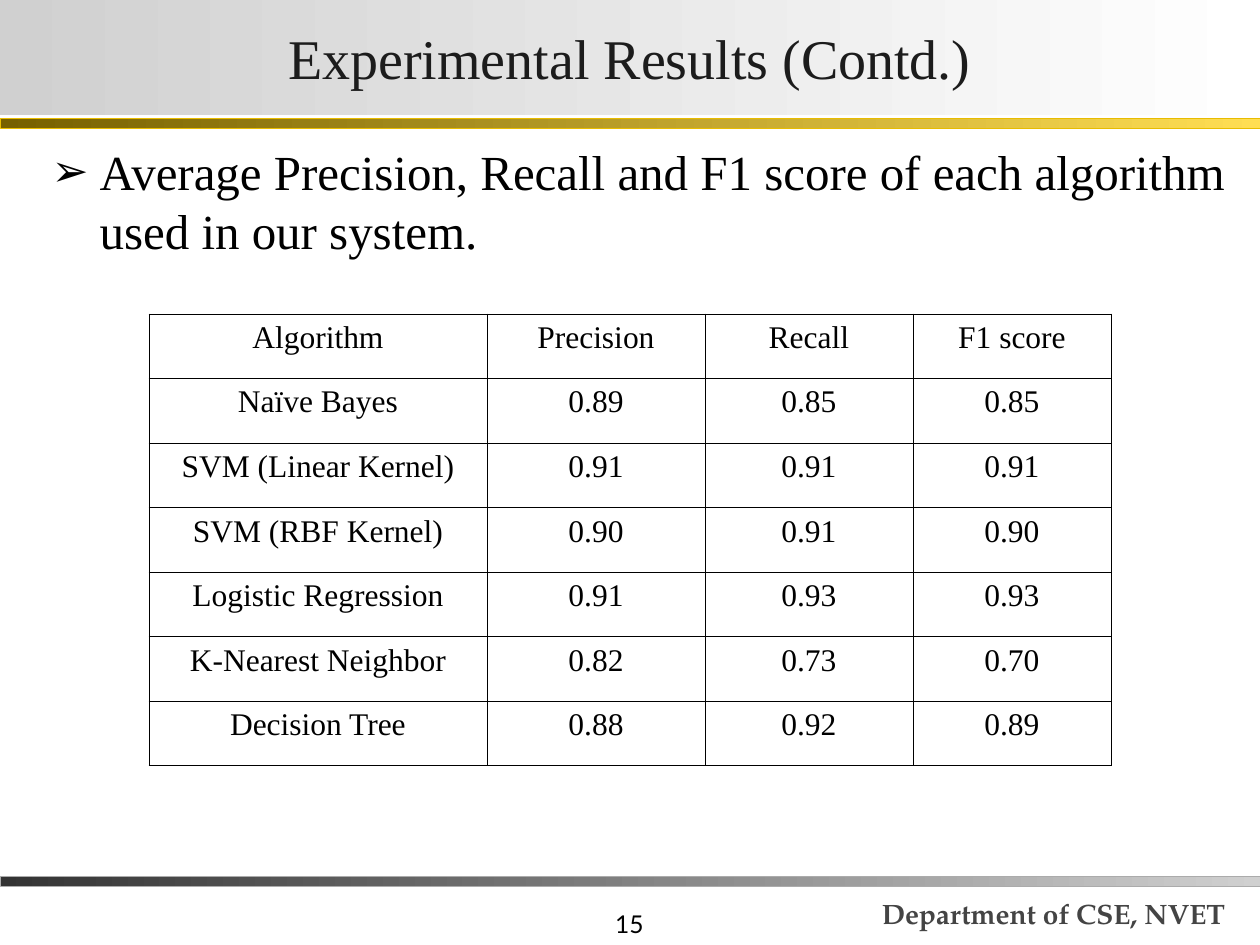
"""Build the slide of average scores for each algorithm."""
import dataclasses

import lxml.etree
import pptx
import pptx.dml.color
import pptx.enum.shapes
import pptx.enum.text
import pptx.oxml
import pptx.oxml.ns
import pptx.util


@dataclasses.dataclass
class Theme:
    serif: str = "Times New Roman"
    sans: str = "Lato"
    book: str = "TeX Gyre Pagella"
    ink: str = "000000"
    head: str = "1C1C1C"
    foot: str = "444444"
    fade: tuple = ("D0D0D0", "FFFFFF")
    gold: tuple = ("766000", "FFDE53", "E8BC00")
    gray: tuple = ("333333", "D0D0D0", "ABABAB")
    title: int = 32
    body: int = 28
    cell: int = 18
    dept: int = 16
    page: int = 14


theme = Theme()
SCALE = 914400 / 126
ALIGN = pptx.enum.text.PP_ALIGN
ANCHOR = pptx.enum.text.MSO_ANCHOR
rgb = pptx.dml.color.RGBColor.from_string
qn = pptx.oxml.ns.qn


def px(*sides):
    return [pptx.util.Emu(round(side * SCALE)) for side in sides]


def write(para, text, size, font, color, align, bold=False):
    para.alignment = align
    run = para.add_run()
    run.text = text
    run.font.size = pptx.util.Pt(size)
    run.font.name = font
    run.font.bold = bold
    run.font.color.rgb = rgb(color)


deck = pptx.Presentation()
deck.slide_width, deck.slide_height = px(1260, 945)
slide = deck.slides.add_slide(deck.slide_layouts[1])
shapes = slide.shapes
title, body = slide.placeholders

labels = [
    ((394, 882, 262, 63), "15", theme.page, theme.sans, theme.ink, ALIGN.RIGHT, False),
    ((837, 857, 433, 79), "Department of CSE, NVET", theme.dept, theme.book,
     theme.foot, ALIGN.CENTER, True),
]
for place, *style in labels:
    frame = shapes.add_textbox(*px(*place)).text_frame
    frame.word_wrap = True
    frame.vertical_anchor = ANCHOR.BOTTOM
    write(frame.paragraphs[0], *style)

bars = []
for top, (start, end, edge) in ((876, theme.gray), (118, theme.gold)):
    bar = shapes.add_shape(pptx.enum.shapes.MSO_SHAPE.RECTANGLE, *px(0, top, 1260, 10))
    bar.shadow.inherit = False
    bar.line.color.rgb = rgb(edge)
    bar.line.width = pptx.util.Pt(0.25)
    bars.append((bar, (start, end)))

for shape, colors in bars + [(title, theme.fade)]:
    shape.fill.gradient()
    shape.fill.gradient_angle = 0
    for stop, color, spot in zip(shape.fill.gradient_stops, colors, (0, 1)):
        stop.color.rgb = rgb(color)
        stop.position = spot

title.left, title.top, title.width, title.height = px(0, 0, 1260, 115)
frame = title.text_frame
frame.auto_size = pptx.enum.text.MSO_AUTO_SIZE.NONE
frame.vertical_anchor = ANCHOR.MIDDLE
frame.margin_left, frame.margin_top, frame.margin_right, frame.margin_bottom = px(2, 1, 2, 1)
write(frame.paragraphs[0], "Experimental Results (Contd.)", theme.title,
      theme.serif, theme.head, ALIGN.CENTER)

body.left, body.top, body.width, body.height = px(39, 135, 1206, 725)
frame = body.text_frame
frame.auto_size = pptx.enum.text.MSO_AUTO_SIZE.NONE
para = frame.paragraphs[0]
write(para, "Average Precision, Recall and F1 score of each algorithm used in our system.",
      theme.body, theme.serif, theme.ink, ALIGN.LEFT)
para.space_before = pptx.util.Pt(7)
props = para._p.get_or_add_pPr()
indent = px(48)[0]
props.set("marL", str(indent))
props.set("indent", str(-indent))
tint = lxml.etree.SubElement(props, qn("a:buClr"))
lxml.etree.SubElement(tint, qn("a:srgbClr"), val=theme.ink)
lxml.etree.SubElement(props, qn("a:buSzPct"), val="90000")
lxml.etree.SubElement(props, qn("a:buChar"), char="➢")

rows = [
    ("Algorithm", "Precision", "Recall", "F1 score"),
    ("Naïve Bayes", "0.89", "0.85", "0.85"),
    ("SVM (Linear Kernel)", "0.91", "0.91", "0.91"),
    ("SVM (RBF Kernel)", "0.90", "0.91", "0.90"),
    ("Logistic Regression", "0.91", "0.93", "0.93"),
    ("K-Nearest Neighbor", "0.82", "0.73", "0.70"),
    ("Decision Tree", "0.88", "0.92", "0.89"),
]
widths = (338, 218, 208, 198)
height = 452
table = shapes.add_table(len(rows), len(widths), *px(149, 314, sum(widths), height)).table
table.first_row = False
table.horz_banding = False
for col, width in zip(table.columns, px(*widths)):
    col.width = width
for line, texts in zip(table.rows, rows):
    line.height = px(height / len(rows))[0]
    for cell, text in zip(line.cells, texts):
        write(cell.text_frame.paragraphs[0], text, theme.cell, theme.serif,
              theme.ink, ALIGN.CENTER)
        props = cell._tc.get_or_add_tcPr()
        for side in ("L", "R", "T", "B"):
            edge = lxml.etree.SubElement(props, qn("a:ln" + side), w=str(pptx.util.Pt(0.45)))
            solid = lxml.etree.SubElement(edge, qn("a:solidFill"))
            lxml.etree.SubElement(solid, qn("a:srgbClr"), val=theme.ink)
        cell.fill.background()

deck.save("out.pptx")
